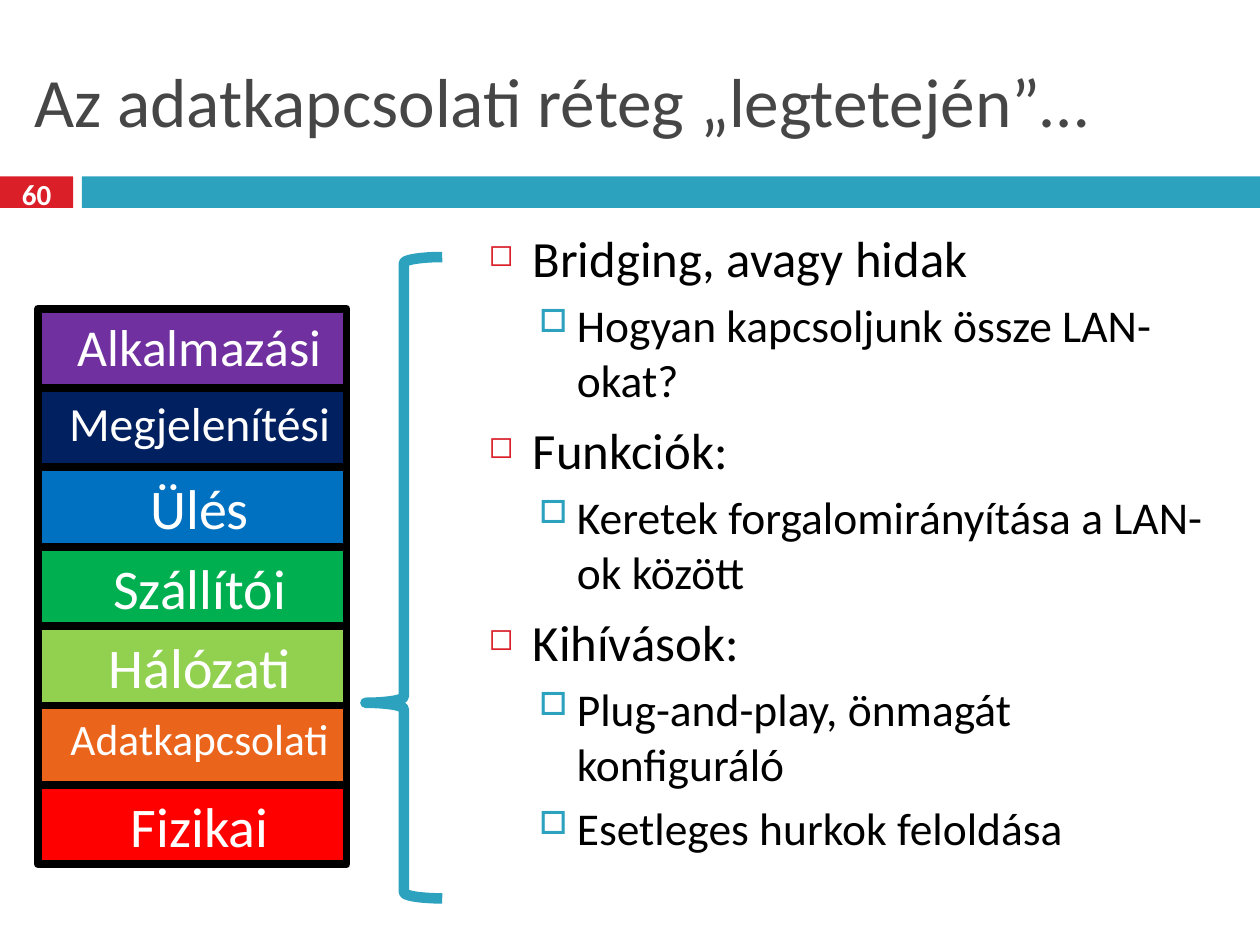
from lxml.etree import SubElement
from pptx import Presentation
from pptx.dml.color import RGBColor
from pptx.enum.shapes import MSO_SHAPE
from pptx.enum.text import MSO_ANCHOR, PP_ALIGN
from pptx.oxml.ns import qn
from pptx.util import Inches, Pt

FONT = "Calibri"
RED, TEAL, GREY, BLACK, WHITE = "DA1F28", "2DA2BF", "464646", "000000", "FFFFFF"

LAYER_LEFT, LAYER_TOP, LAYER_WIDTH, LAYER_HEIGHT = 0.3, 2.45, 2.45, 0.63
LAYERS = [
    ("Alkalmazási", "7030A0", 29.6),
    ("Megjelenítési", "002060", 27.2),
    ("Ülés", "0070C0", 32),
    ("Szállítói", "00B050", 32),
    ("Hálózati", "92D050", 32),
    ("Adatkapcsolati", "EB641B", 24.8),
    ("Fizikai", "FF0000", 32),
]

TOPICS = [
    (0, "Bridging, avagy hidak"),
    (1, "Hogyan kapcsoljunk össze LAN-okat?"),
    (0, "Funkciók:"),
    (1, "Keretek forgalomirányítása a LAN-ok között"),
    (0, "Kihívások:"),
    (1, "Plug-and-play, önmagát konfiguráló"),
    (1, "Esetleges hurkok feloldása"),
]
# Per level: text size, space before, left margin, indent, bullet, its colour and percentage
LEVELS = [
    (29, 7, 0.35, -0.35, "◻", RED, 60),
    (26, 5.5, 0.7, -0.3, "□", TEAL, 70),
]


def rgb(value):
    return RGBColor.from_string(value)


def box(left, top, width, height):
    return [Inches(length) for length in (left, top, width, height)]


def style_font(paragraph, size, color, bold=False):
    for run in paragraph.runs:
        run.font.name = FONT
        run.font.size = Pt(size)
        run.font.bold = bold
        run.font.color.rgb = rgb(color)


def set_indent(paragraph, margin, indent=0):
    properties = paragraph._p.get_or_add_pPr()
    properties.set("marL", str(Inches(margin)))
    properties.set("indent", str(Inches(indent)))
    return properties


def add_bullet(paragraph, margin, indent, character, color, percent):
    properties = set_indent(paragraph, margin, indent)
    bullet_color = SubElement(properties, qn("a:buClr"))
    SubElement(bullet_color, qn("a:srgbClr"), val=color)
    SubElement(properties, qn("a:buSzPct"), val=str(percent * 1000))
    SubElement(properties, qn("a:buChar"), char=character)


def add_block(slide, bounds, fill, border=None):
    block = slide.shapes.add_shape(MSO_SHAPE.RECTANGLE, *box(*bounds))
    block.shadow.inherit = False
    block.fill.solid()
    block.fill.fore_color.rgb = rgb(fill)
    if border:
        block.line.color.rgb = rgb(border)
        block.line.width = Pt(4.5)
    else:
        block.line.fill.background()
    return block


def set_title(slide, text):
    title = slide.shapes.title
    title.left, title.top, title.width, title.height = box(0.17, 0.25, 9.67, 1.08)
    frame = title.text_frame
    frame.text = text
    frame.vertical_anchor = MSO_ANCHOR.MIDDLE
    frame.paragraphs[0].alignment = PP_ALIGN.LEFT
    style_font(frame.paragraphs[0], 39.6, GREY)


def add_page_number(slide, number):
    frame = slide.shapes.add_textbox(*box(0, 1.37, 0.58, 0.33)).text_frame
    frame.word_wrap = True
    frame.vertical_anchor = MSO_ANCHOR.MIDDLE
    frame.text = number
    frame.paragraphs[0].alignment = PP_ALIGN.CENTER
    style_font(frame.paragraphs[0], 16.6, WHITE, bold=True)


def add_topics(slide):
    frame = slide.shapes.add_textbox(*box(3.78, 1.75, 6.06, 5.58)).text_frame
    frame.word_wrap = True
    frame.text = "\n".join(text for _, text in TOPICS)
    for index, (level, _) in enumerate(TOPICS):
        paragraph = frame.paragraphs[index]
        size, space, *bullet = LEVELS[level]
        paragraph.level = level
        paragraph.space_before = Pt(space if index else 0)
        add_bullet(paragraph, *bullet)
        style_font(paragraph, size, BLACK)


def add_layer_stack(slide):
    for row, (name, color, size) in enumerate(LAYERS):
        top = LAYER_TOP + row * LAYER_HEIGHT
        layer = add_block(slide, (LAYER_LEFT, top, LAYER_WIDTH, LAYER_HEIGHT), color, BLACK)
        frame = layer.text_frame
        frame.vertical_anchor = MSO_ANCHOR.TOP
        frame.text = name
        label = frame.paragraphs[0]
        label.alignment = PP_ALIGN.CENTER
        set_indent(label, 0.12)
        style_font(label, size, WHITE)


def add_brace(slide):
    brace = slide.shapes.add_shape(MSO_SHAPE.LEFT_BRACE, *box(2.9, 2.04, 0.61, 5.09))
    brace.shadow.inherit = False
    brace.adjustments[0] = 0.08
    brace.adjustments[1] = 0.695
    brace.fill.background()
    brace.line.color.rgb = rgb(TEAL)
    brace.line.width = Pt(6)


def main():
    presentation = Presentation()
    presentation.slide_width, presentation.slide_height = Inches(10), Inches(7.5)
    slide = presentation.slides.add_slide(presentation.slide_layouts[5])
    add_block(slide, (0, 1.4, 0.58, 0.25), RED)
    add_block(slide, (0.65, 1.4, 9.35, 0.25), TEAL)
    set_title(slide, "Az adatkapcsolati réteg „legtetején”…")
    add_page_number(slide, "60")
    add_topics(slide)
    add_layer_stack(slide)
    add_brace(slide)
    presentation.save("out.pptx")


if __name__ == "__main__":
    main()
